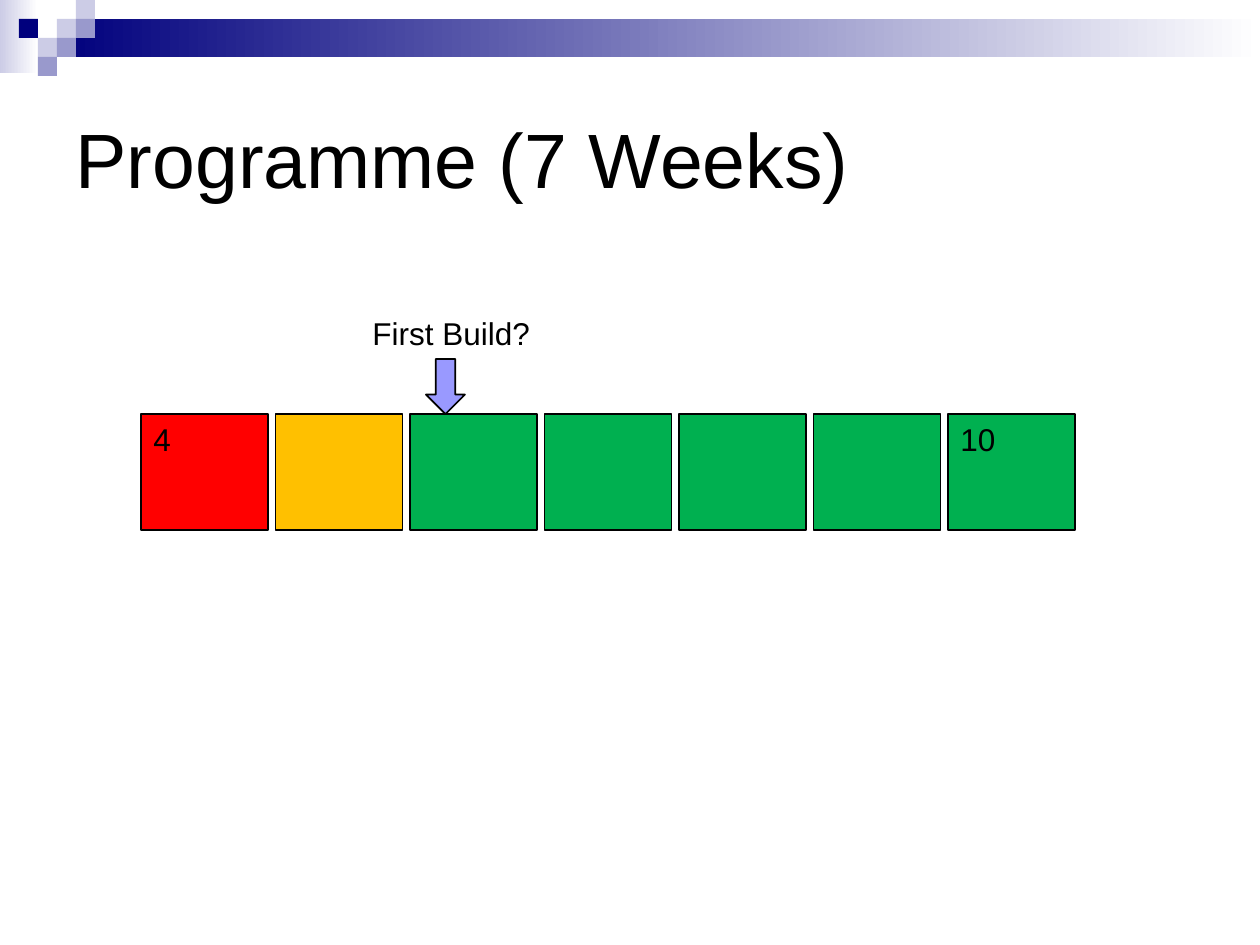
import dataclasses

import pptx
import pptx.dml.color
import pptx.enum.dml
import pptx.enum.shapes
import pptx.enum.text
import pptx.util

PX = 914400 / 126
SHAPES = pptx.enum.shapes.MSO_SHAPE
ANCHOR = pptx.enum.text.MSO_ANCHOR
LEFT = pptx.enum.text.PP_ALIGN.LEFT


@dataclasses.dataclass(frozen=True)
class Theme:
    font: str = "Arial"
    title_size: int = 44
    label_size: int = 18
    ink: str = "000000"
    paper: str = "FFFFFF"
    navy: str = "00007D"
    lavender: str = "CCCCE6"
    periwinkle: str = "9999CC"
    arrow: str = "9999FF"
    red: str = "FF0000"
    amber: str = "FFC000"
    green: str = "00B050"


THEME = Theme()


def px(length):
    return pptx.util.Emu(round(length * PX))


def rgb(colour):
    return pptx.dml.color.RGBColor.from_string(colour)


def add_block(slide, box, colour, outlined=False, preset=SHAPES.RECTANGLE):
    block = slide.shapes.add_shape(preset, *map(px, box))
    block.shadow.inherit = False
    block.fill.solid()
    block.fill.fore_color.rgb = rgb(colour)
    if outlined:
        block.line.color.rgb = rgb(THEME.ink)
        block.line.width = pptx.util.Pt(1)
    else:
        block.line.fill.background()
    return block


def add_fading_block(slide, box, colour):
    """Add a block that fades from the colour on the left to the paper."""
    block = add_block(slide, box, colour)
    block.fill.gradient()
    block.fill.gradient_angle = 0
    for stop, shade, position in zip(block.fill.gradient_stops, (colour, THEME.paper), (0, 1)):
        stop.color.rgb = rgb(shade)
        stop.position = position


def write(frame, words, size, anchor=ANCHOR.TOP, wrap=True):
    frame.word_wrap = wrap
    frame.vertical_anchor = anchor
    paragraph = frame.paragraphs[0]
    paragraph.alignment = LEFT
    run = paragraph.add_run()
    run.text = words
    run.font.name = THEME.font
    run.font.size = pptx.util.Pt(size)
    run.font.color.rgb = rgb(THEME.ink)


def add_banner(slide, box):
    """Fading bands with a mosaic of square tiles at the left end."""
    left, top, width, height = box
    tile = height // 4
    add_fading_block(slide, (left, top, 2 * tile, height - 3), THEME.lavender)
    add_fading_block(slide, (left + 3 * tile, top + tile, width - 3 * tile, 2 * tile), THEME.navy)
    mosaic = {
        THEME.lavender: [(3, 1), (4, 0), (2, 2)],
        THEME.periwinkle: [(4, 1), (3, 2), (2, 3)],
        THEME.navy: [(1, 1)],
    }
    for colour, cells in mosaic.items():
        for column, row in cells:
            add_block(slide, (left + column * tile, top + row * tile, tile, tile), colour)


def add_title(slide, box, words):
    title = slide.shapes.title
    title.left, title.top, title.width, title.height = map(px, box)
    write(title.text_frame, words, THEME.title_size, ANCHOR.MIDDLE)


def add_weeks(slide, box, colours, labels):
    """Row of equally spaced weeks; labels maps a position to its number."""
    left, top, width, height = box
    week_width = 127
    pitch = (width - week_width) / (len(colours) - 1)
    for position, colour in enumerate(colours):
        week = add_block(slide, (left + position * pitch, top, week_width, height), colour, True)
        if position in labels:
            write(week.text_frame, labels[position], THEME.label_size)


def add_milestone(slide, box, words):
    """Caption with an arrow below it that reaches the foot of the box."""
    left, top, width, height = box
    caption_height = 51
    caption = slide.shapes.add_textbox(*map(px, (left, top, width, caption_height)))
    write(caption.text_frame, words, THEME.label_size, wrap=False)
    arrow_box = (left + 66, top + caption_height, 39, height - caption_height)
    add_block(slide, arrow_box, THEME.arrow, True, SHAPES.DOWN_ARROW)


def main():
    deck = pptx.Presentation()
    deck.slide_width, deck.slide_height = px(1260), px(945)
    slide = deck.slides.add_slide(deck.slide_layouts[5])
    add_banner(slide, (0, 0, 1260, 76))
    add_title(slide, (63, 63, 1134, 189), "Programme (7 Weeks)")
    colours = [THEME.red, THEME.amber] + [THEME.green] * 5
    add_weeks(slide, (141, 414, 934, 116), colours, {0: "4", 6: "10"})
    add_milestone(slide, (360, 308, 184, 106), "First Build?")
    deck.save("out.pptx")


if __name__ == "__main__":
    main()
